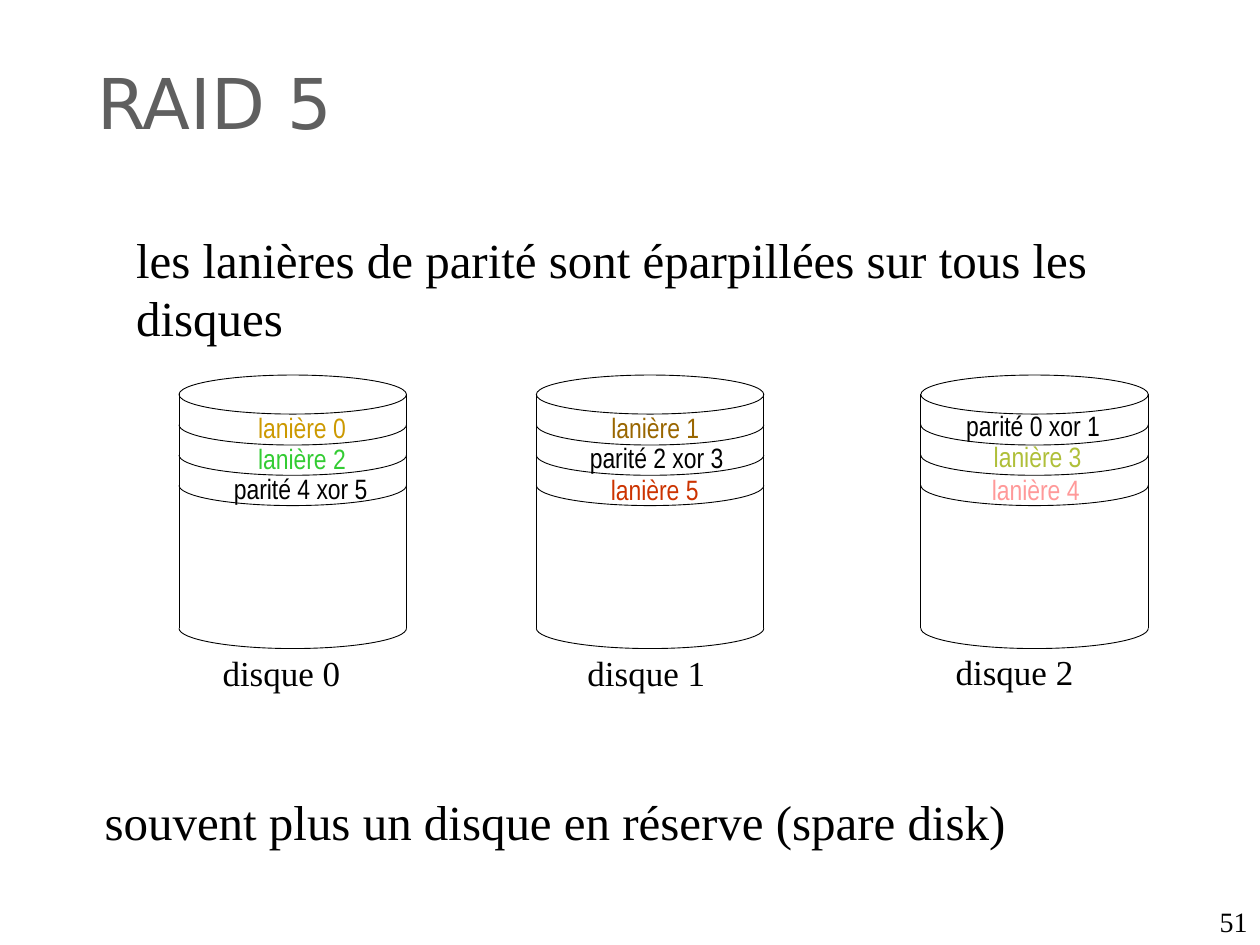
from lxml import etree
from pptx import Presentation
from pptx.dml.color import RGBColor
from pptx.enum.shapes import MSO_CONNECTOR, MSO_SHAPE
from pptx.enum.text import MSO_ANCHOR, PP_ALIGN
from pptx.oxml.ns import qn
from pptx.util import Pt

LEFT, CENTER, RIGHT = PP_ALIGN.LEFT, PP_ALIGN.CENTER, PP_ALIGN.RIGHT
TOP, MIDDLE, BOTTOM = MSO_ANCHOR.TOP, MSO_ANCHOR.MIDDLE, MSO_ANCHOR.BOTTOM
STRAIGHT, OVAL = MSO_CONNECTOR.STRAIGHT, MSO_SHAPE.OVAL
BLACK = "000000"

# Text formats
FORMATS = {
    "title": dict(font="DejaVu Sans", size=40, color="5F5F5F", align=LEFT, anchor=TOP, wrap=True),
    "statement": dict(font="Times New Roman", size=28, color=BLACK, align=LEFT, anchor=TOP, wrap=True),
    "disk": dict(font="Times New Roman", size=20, color=BLACK, align=CENTER, anchor=TOP, wrap=True),
    "stripe": dict(font="Arial Narrow", size=16, color=BLACK, align=CENTER, anchor=MIDDLE, wrap=False),
    "number": dict(font="Times New Roman", size=16, color=BLACK, align=RIGHT, anchor=BOTTOM, wrap=True),
}

# Format, wording, (left, top, width, height)
STATEMENTS = [
    ("title", "RAID 5", (48.5, 30.5, 221, 57.6)),
    ("statement", "les lanières de parité sont éparpillées sur tous les disques", (70.7, 127.4, 612, 80.6)),
    ("statement", "souvent plus un disque en réserve (spare disk)", (52.7, 448.6, 612, 54.7)),
    ("number", "51", (552.2, 513.8, 167.8, 26)),
]

# Disk left edge, caption and its place, stripes (wording, colour, place)
DISKS = [
    (102.3, "disque 0", (93.9, 368.5), [
        ("lanière 0", "CC9900", (123.6, 233.2)),
        ("lanière 2", "33CC33", (123.6, 251)),
        ("parité 4 xor 5", BLACK, (122.9, 268.3)),
    ]),
    (306.5, "disque 1", (302.4, 368.5), [
        ("lanière 1", "996600", (325.5, 233.2)),
        ("parité 2 xor 3", BLACK, (326.3, 250.5)),
        ("lanière 5", "CC3300", (325.2, 268.9)),
    ]),
    (526.2, "disque 2", (512.8, 368), [
        ("parité 0 xor 1", BLACK, (541.4, 232.5)),
        ("lanière 3", "AFBF39", (544, 250)),
        ("lanière 4", "FF9999", (542.9, 268.6)),
    ]),
]

# Disk geometry
DISK_WIDTH, LID_TOP, LID_HEIGHT = 130, 214.3, 22.3
SIDE_TOP, SIDE_BOTTOM = 225.2, 359
RIM_DEPTH, ARC_RATIO = 11.6, 0.55
FIRST_RIM, RIM_PITCH = 242.7, 17.3
STRIPE_SIZE, CAPTION_SIZE = (97.9, 21.6), (133.9, 31.7)


def rgb(color):
    return RGBColor.from_string(color)


def add_text(slide, text, box, kind, color=None):
    fmt = FORMATS[kind]
    frame = slide.shapes.add_textbox(*map(Pt, box)).text_frame
    paragraph = frame.paragraphs[0]
    run = paragraph.add_run()
    run.text = text
    settings = [
        (frame, dict(word_wrap=fmt["wrap"], vertical_anchor=fmt["anchor"])),
        (paragraph, dict(alignment=fmt["align"])),
        (run.font, dict(name=fmt["font"], size=Pt(fmt["size"]))),
    ]
    for target, values in settings:
        for name, value in values.items():
            setattr(target, name, value)
    run.font.color.rgb = rgb(color or fmt["color"])


def outline(part):
    part.line.color.rgb = rgb(BLACK)
    part.line.width = Pt(0.5)


def add_rim(slide, left, top):
    """Draw the lower half of an ellipse as two curves."""
    radius = DISK_WIDTH / 2
    unit_points = [(-1, 0), (-1, ARC_RATIO), (-ARC_RATIO, 1), (0, 1),
                   (ARC_RATIO, 1), (1, ARC_RATIO), (1, 0)]
    points = [(Pt(left + radius * (1 + u)), Pt(top + RIM_DEPTH * v)) for u, v in unit_points]
    builder = slide.shapes.build_freeform(*points[0])
    builder.add_line_segments(points[1:], close=False)
    rim = builder.convert_to_shape()
    # Turn each three line segments into one cubic curve
    segments = list(rim._element.iter(qn("a:lnTo")))
    for start in range(0, len(segments), 3):
        curve = etree.SubElement(segments[start].getparent(), qn("a:cubicBezTo"))
        for segment in segments[start:start + 3]:
            curve.append(segment[0])
            segment.getparent().remove(segment)
    rim.fill.background()
    rim.shadow.inherit = False
    outline(rim)


def add_disk(slide, left, caption, caption_place, stripes):
    # Lid
    lid = slide.shapes.add_shape(OVAL, *map(Pt, (left, LID_TOP, DISK_WIDTH, LID_HEIGHT)))
    lid.fill.background()
    lid.shadow.inherit = False
    outline(lid)

    # Sides and bottom
    for x in (left, left + DISK_WIDTH):
        side = slide.shapes.add_connector(STRAIGHT, *map(Pt, (x, SIDE_BOTTOM, x, SIDE_TOP)))
        outline(side)
        etree.SubElement(side._element.spPr, qn("a:effectLst"))
    add_rim(slide, left, SIDE_BOTTOM)

    # Stripes, each closed by a rim
    for row, (text, color, place) in enumerate(stripes):
        add_rim(slide, left, FIRST_RIM + row * RIM_PITCH)
        add_text(slide, text, (*place, *STRIPE_SIZE), "stripe", color)

    add_text(slide, caption, (*caption_place, *CAPTION_SIZE), "disk")


def main():
    deck = Presentation()
    deck.slide_width, deck.slide_height = Pt(720), Pt(540)
    slide = deck.slides.add_slide(deck.slide_layouts[6])
    for kind, text, box in STATEMENTS:
        add_text(slide, text, box, kind)
    for disk in DISKS:
        add_disk(slide, *disk)
    deck.save("out.pptx")


if __name__ == "__main__":
    main()
